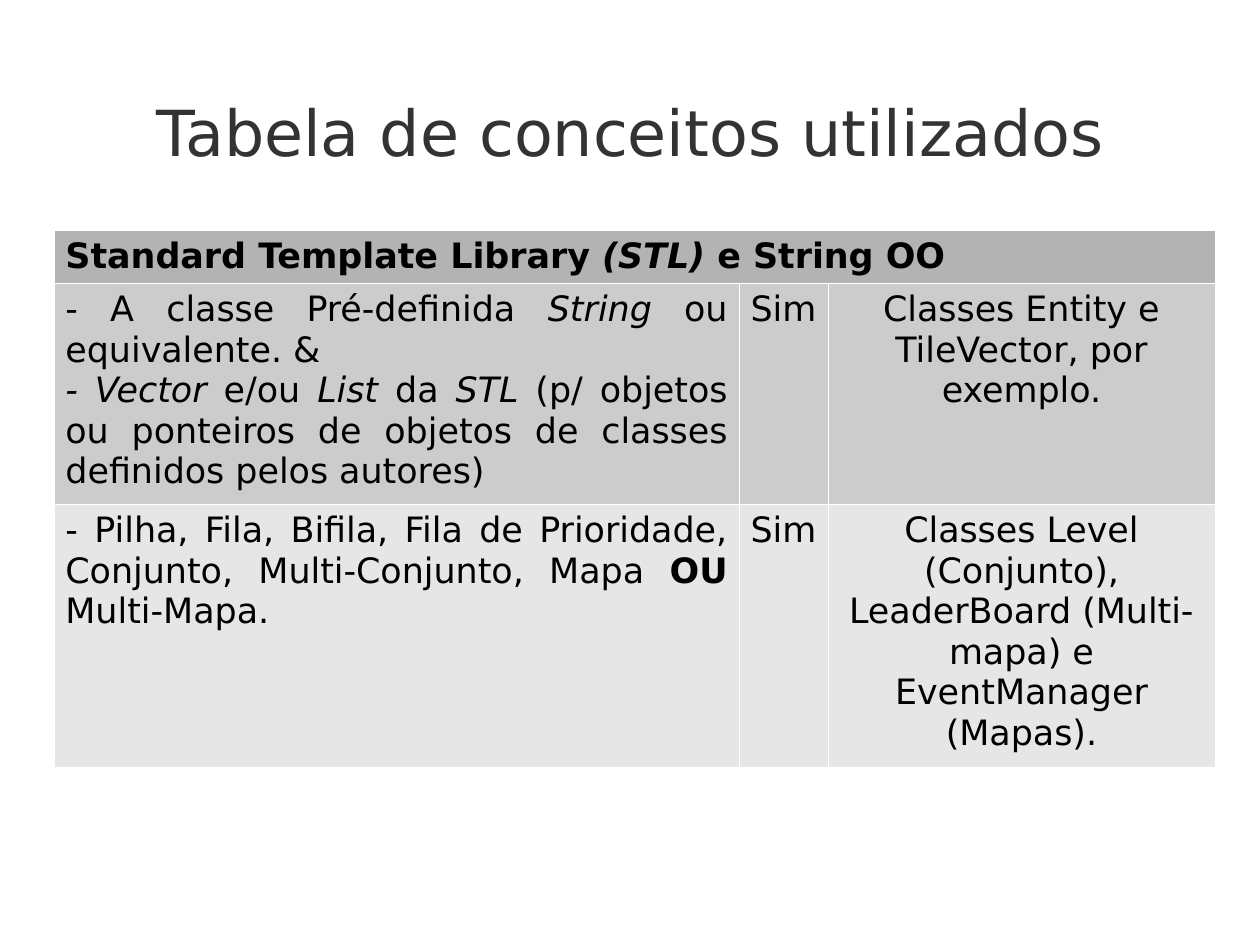
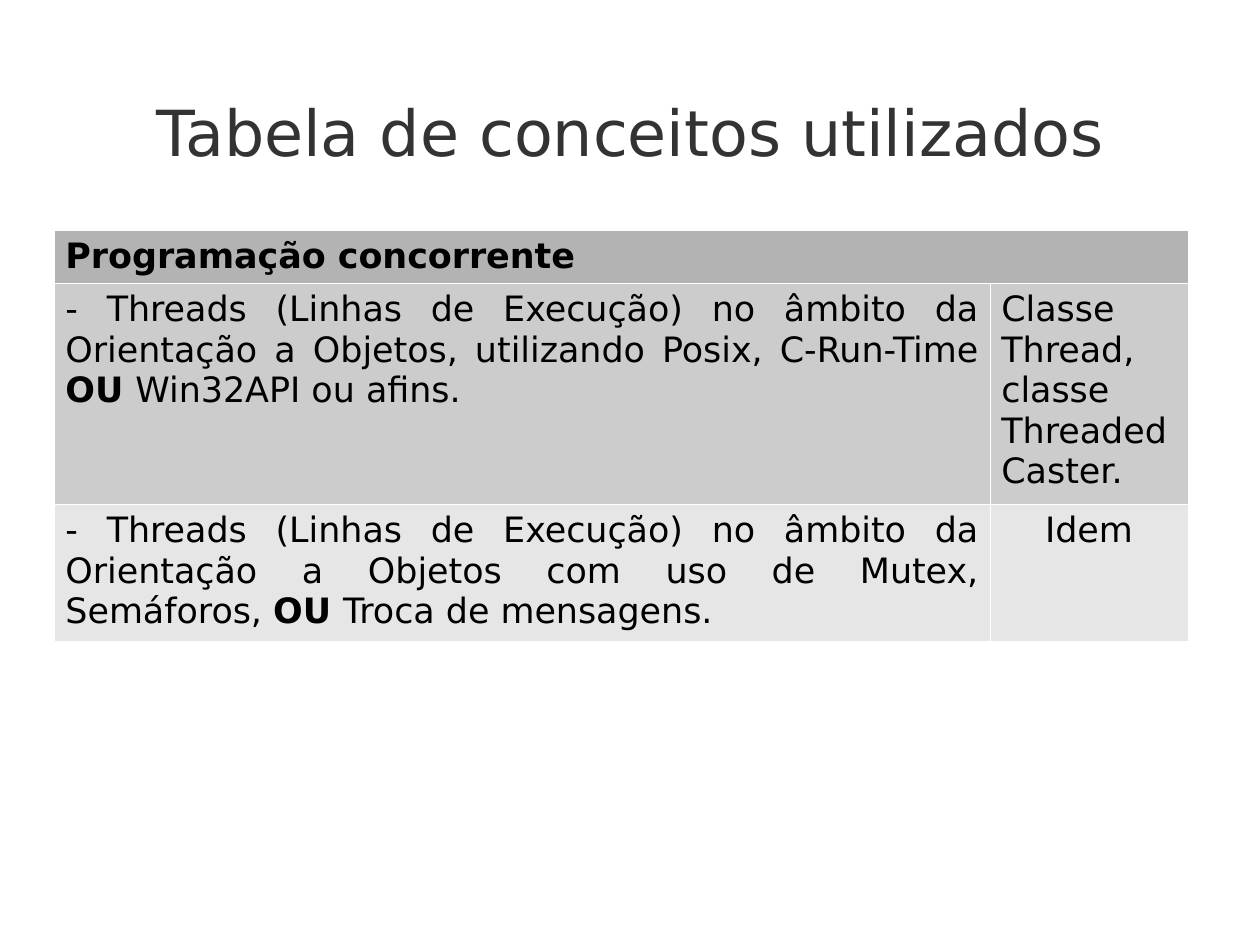
from lxml import etree
from pptx import Presentation
from pptx import util as u
from pptx.dml.color import RGBColor
from pptx.enum import text
from pptx.oxml.ns import qn

PX = 8000  # EMU per px
FONT = "DejaVu Sans"
BLACK = RGBColor(0, 0, 0)
TITLE = RGBColor(0x33, 0x33, 0x33)
ROW_FILLS = [RGBColor(v, v, v) for v in (0xB3, 0xCC, 0xE6)]
LEFT, CENTER, JUSTIFY = (text.PP_ALIGN.LEFT, text.PP_ALIGN.CENTER,
                         text.PP_ALIGN.JUSTIFY)


def px(n):
    return u.Emu(n * PX)


class Deck:
    """Shared style and the slide being filled."""

    def __init__(self, width, height):
        self.prs = Presentation()
        self.prs.slide_width, self.prs.slide_height = px(width), px(height)
        self.s = None

    def slide(self, title):
        self.s = self.prs.slides.add_slide(self.prs.slide_layouts[6])
        sp = self.s.shapes.add_textbox(px(88), px(56), px(1085), px(150))
        tf = sp.text_frame
        tf.word_wrap = True
        tf.vertical_anchor = text.MSO_ANCHOR.MIDDLE
        tf.margin_left = tf.margin_right = tf.margin_top = tf.margin_bottom = 0
        self.add_text(tf, [[(title, "")]], CENTER, 40, TITLE)

    def add_text(self, tf, paragraphs, align, size=22, color=BLACK):
        """Each paragraph is a list of (text, style); b is bold, i italic."""
        for n, runs in enumerate(paragraphs):
            p = tf.add_paragraph() if n else tf.paragraphs[0]
            p.alignment = align
            for words, style in runs:
                r = p.add_run()
                r.text = words
                r.font.name, r.font.size = FONT, u.Pt(size)
                r.font.color.rgb = color
                r.font.bold, r.font.italic = "b" in style, "i" in style

    def borders(self, cell):
        """Hairline white borders, placed ahead of the fill."""
        tc_pr = cell._tc.get_or_add_tcPr()
        for n, side in enumerate(("lnL", "lnR", "lnT", "lnB")):
            ln = etree.Element(qn("a:" + side), w="762")
            fill = etree.SubElement(ln, qn("a:solidFill"))
            etree.SubElement(fill, qn("a:srgbClr"), val="FFFFFF")
            tc_pr.insert(n, ln)

    def table(self, widths, heights, header, rows):
        """Merged header row, then rows of (alignment, paragraphs) cells."""
        frame = self.s.shapes.add_table(
            len(heights), len(widths), px(54), px(230),
            px(sum(widths)), px(sum(heights)))
        tbl = frame.table
        tbl.first_row = tbl.horz_banding = False
        for col, width in zip(tbl.columns, widths):
            col.width = px(width)
        for row, height, fill in zip(tbl.rows, heights, ROW_FILLS):
            row.height = px(height)
            for cell in row.cells:
                cell.fill.solid()
                cell.fill.fore_color.rgb = fill
                self.borders(cell)
        tbl.cell(0, 0).merge(tbl.cell(0, len(widths) - 1))
        self.add_text(tbl.cell(0, 0).text_frame, [header], LEFT)
        for i, row in enumerate(rows, 1):
            for j, (align, paragraphs) in enumerate(row):
                self.add_text(tbl.cell(i, j).text_frame, paragraphs, align)


def plain(words, align=CENTER):
    return align, [[(words, "")]]


def main():
    deck = Deck(1260, 945)
    title = "Tabela de conceitos utilizados"

    # STL and strings
    deck.slide(title)
    deck.table(
        [685, 89, 387], [52, 215, 255],
        [("Standard Template Library", "b"), (" (STL) ", "bi"),
         ("e String OO", "b")],
        [[(JUSTIFY, [
            [("- A classe Pré-definida ", ""), ("String", "i"),
             (" ou equivalente. &", "")],
            [("- Vector", "i"), (" e/ou", ""), (" List ", "i"), ("da", ""),
             (" STL ", "i"),
             ("(p/ objetos ou ponteiros de objetos de classes "
              "definidos pelos autores)", "")]]),
          plain("Sim"),
          plain("Classes Entity e TileVector, por exemplo.")],
         [(JUSTIFY, [
             [("- Pilha, Fila, Bifila, Fila de Prioridade, Conjunto, "
               "Multi-Conjunto, Mapa ", ""),
              ("OU ", "b"), ("Multi-Mapa.", "")]]),
          plain("Sim"),
          plain("Classes Level (Conjunto), LeaderBoard (Multi-mapa) "
                "e EventManager (Mapas).")]])

    # Concurrent programming
    deck.slide(title)
    threads = "- Threads (Linhas de Execução) no âmbito da Orientação a Objetos"
    deck.table(
        [936, 198], [52, 215, 133],
        [("Programação concorrente", "b")],
        [[(JUSTIFY, [
            [(threads + ", utilizando Posix, C-Run-Time ", ""),
             ("OU ", "b"), ("Win32API ou afins.", "")]]),
          plain("Classe Thread, classe ThreadedCaster.", JUSTIFY)],
         [(JUSTIFY, [
             [(threads + " com uso de Mutex, Semáforos, ", ""),
              ("OU ", "b"), ("Troca de mensagens.", "")]]),
          plain("Idem")]])

    deck.prs.save("out.pptx")


if __name__ == "__main__":
    main()
